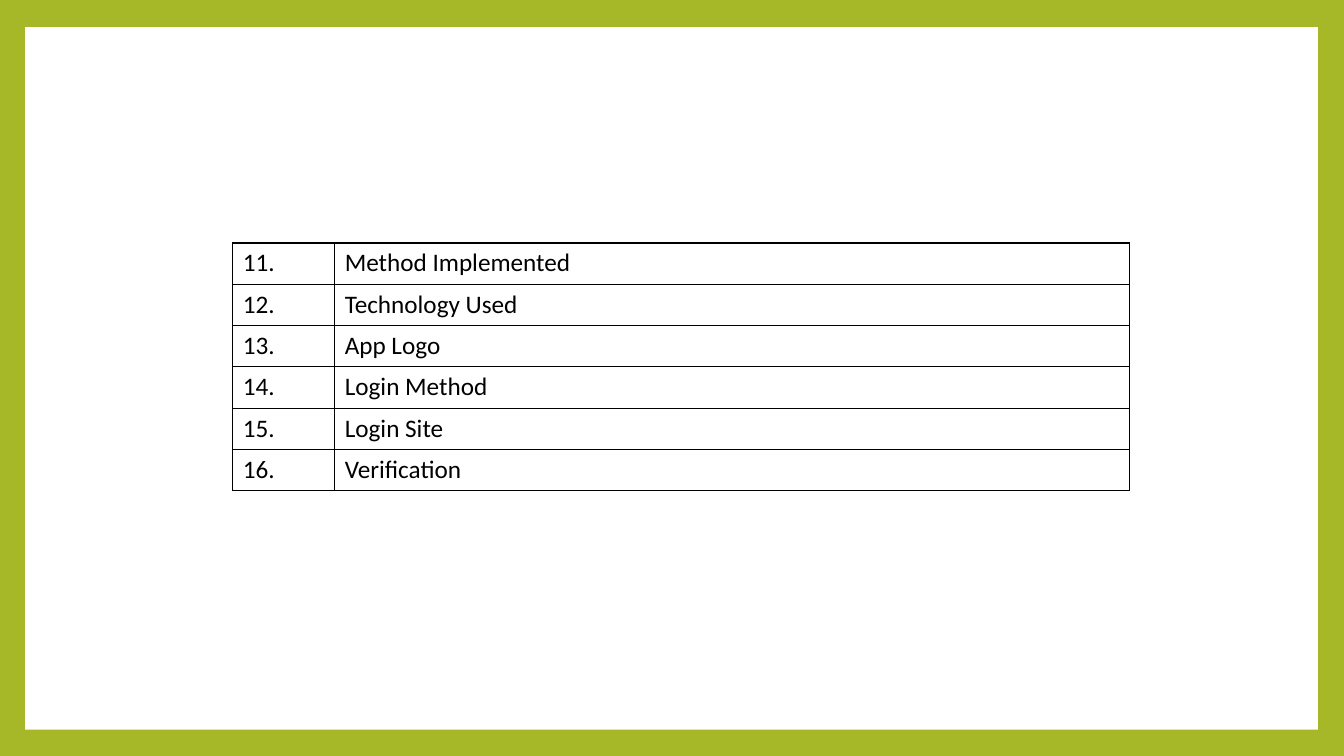
from dataclasses import dataclass

from lxml import etree
from pptx import Presentation
from pptx import util as u
from pptx.dml.color import RGBColor
from pptx.enum import shapes
from pptx.oxml import ns


@dataclass(frozen=True)
class Theme:
    frame: str = "A6B727"
    paper: str = "FFFFFF"
    ink: str = "000000"
    font: str = "Calibri"
    body_size: int = 18
    border_width: int = 1


@dataclass(frozen=True)
class Box:
    """A rectangle in inches."""
    left: float
    top: float
    width: float
    height: float

    def lengths(self):
        return [u.Inches(n) for n in (self.left, self.top, self.width, self.height)]


THEME = Theme()
SLIDE = Box(0, 0, 13.33, 7.5)
PAPER = Box(0.25, 0.27, 12.82, 6.97)
CONTENTS = Box(2.31, 2.41, 8.89, 2.46)
NUMBER_WIDTH = 1.01
FIRST_NUMBER = 11
TOPICS = ["Method Implemented", "Technology Used", "App Logo",
          "Login Method", "Login Site", "Verification"]


def color(value):
    return RGBColor.from_string(value)


def add_framed_paper(page, box):
    background = page.background.fill
    background.solid()
    background.fore_color.rgb = color(THEME.frame)
    paper = page.shapes.add_shape(shapes.MSO_SHAPE.RECTANGLE, *box.lengths())
    paper.shadow.inherit = False
    paper.fill.solid()
    paper.fill.fore_color.rgb = color(THEME.paper)
    paper.line.fill.background()


def add_borders(cell):
    properties = cell._tc.get_or_add_tcPr()
    for side in ("a:lnL", "a:lnR", "a:lnT", "a:lnB"):
        line = etree.SubElement(properties, ns.qn(side),
                                w=str(u.Pt(THEME.border_width)))
        fill = etree.SubElement(line, ns.qn("a:solidFill"))
        etree.SubElement(fill, ns.qn("a:srgbClr"), val=THEME.ink)


def fill_cell(cell, words):
    add_borders(cell)
    cell.fill.background()
    span = cell.text_frame.paragraphs[0].add_run()
    span.text = words
    span.font.name = THEME.font
    span.font.size = u.Pt(THEME.body_size)
    span.font.color.rgb = color(THEME.ink)


def add_contents(page, box, topics, first_number):
    table = page.shapes.add_table(len(topics), 2, *box.lengths()).table
    table.first_row = table.horz_banding = False
    table.columns[0].width = u.Inches(NUMBER_WIDTH)
    table.columns[1].width = u.Inches(box.width - NUMBER_WIDTH)
    for index, topic in enumerate(topics):
        fill_cell(table.cell(index, 0), f"{first_number + index}.")
        fill_cell(table.cell(index, 1), topic)


def main():
    deck = Presentation()
    deck.slide_width = u.Inches(SLIDE.width)
    deck.slide_height = u.Inches(SLIDE.height)
    page = deck.slides.add_slide(deck.slide_layouts[6])
    add_framed_paper(page, PAPER)
    add_contents(page, CONTENTS, TOPICS, FIRST_NUMBER)
    deck.save("out.pptx")


if __name__ == "__main__":
    main()
